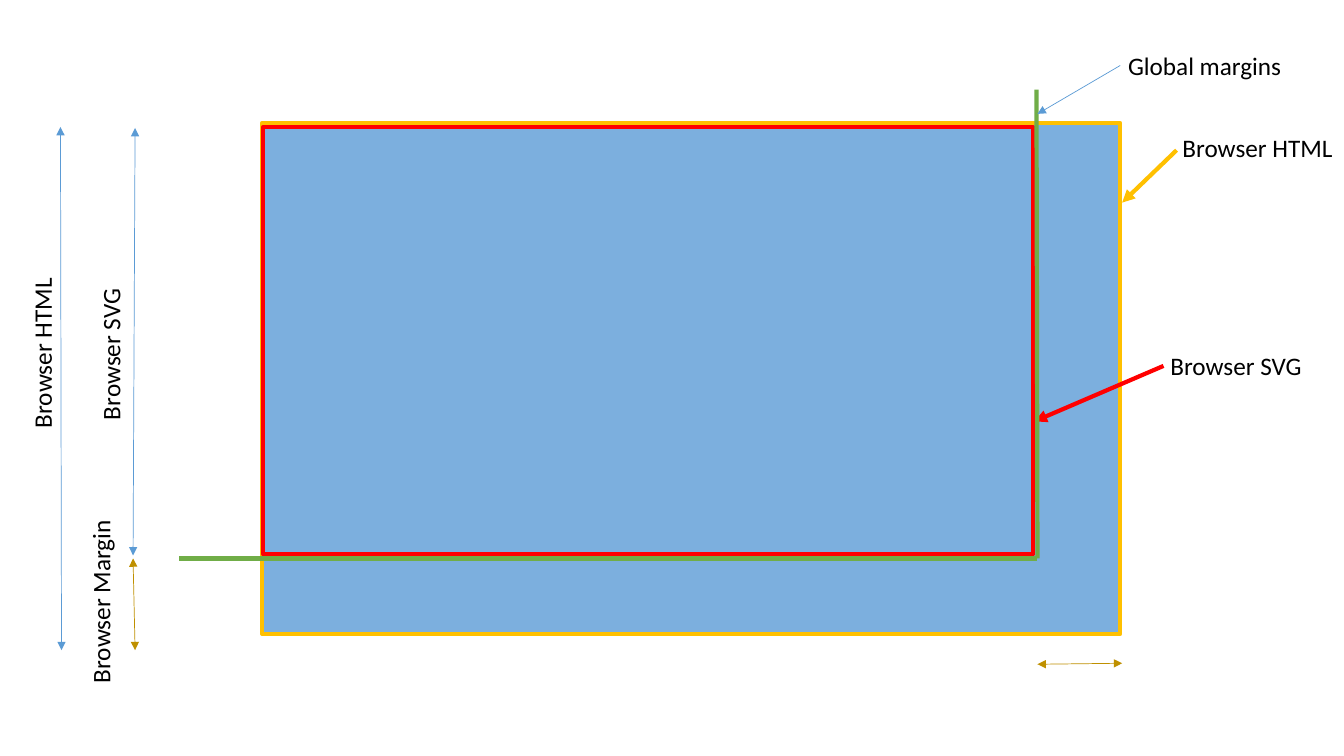
"""Build a slide showing how browser HTML, SVG and margins nest."""
from lxml import etree
from pptx import Presentation
from pptx.dml.color import RGBColor
from pptx.enum import shapes, text
from pptx.oxml import ns
from pptx.util import Inches, Pt

BLACK = RGBColor(0x00, 0x00, 0x00)
FILL = RGBColor(0x7C, 0xAF, 0xDE)
AMBER = RGBColor(0xFF, 0xC0, 0x00)
RED = RGBColor(0xFF, 0x00, 0x00)
GREEN = RGBColor(0x70, 0xAD, 0x47)
BLUE = RGBColor(0x5B, 0x9B, 0xD5)
OCHRE = RGBColor(0xBF, 0x90, 0x00)
THICK, THIN = 3, 0.5

prs = Presentation()
prs.slide_width, prs.slide_height = Inches(13.33), Inches(7.5)
s = prs.slides.add_slide(prs.slide_layouts[6])


def add_text(label, left, top, width, height=0.4, rotation=0, size=18, color=BLACK):
    sp = s.shapes.add_textbox(*map(Inches, (left, top, width, height)))
    sp.rotation = rotation
    tf = sp.text_frame
    tf.word_wrap = True
    tf.auto_size = text.MSO_AUTO_SIZE.SHAPE_TO_FIT_TEXT
    r = tf.paragraphs[0].add_run()
    r.text = label
    r.font.name, r.font.size = "Calibri", Pt(size)
    r.font.color.rgb = color


def add_line(start, end, color, width, ends=()):
    sp = s.shapes.add_connector(shapes.MSO_CONNECTOR.STRAIGHT, *map(Inches, start + end))
    sp.line.color.rgb, sp.line.width = color, Pt(width)
    for tag in ends:
        etree.SubElement(sp.line._get_or_add_ln(), ns.qn(f"a:{tag}"), type="triangle")
    etree.SubElement(sp._element.spPr, ns.qn("a:effectLst"))


for box, fill, color in [
    ((2.6, 1.22, 8.51, 5.07), FILL, AMBER),
    ((2.61, 1.26, 7.64, 4.24), None, RED),
]:
    sp = s.shapes.add_shape(shapes.MSO_SHAPE.RECTANGLE, *map(Inches, box))
    sp.shadow.inherit = False
    if fill is None:
        sp.fill.background()
    else:
        sp.fill.solid()
        sp.fill.fore_color.rgb = fill
    sp.line.color.rgb, sp.line.width = color, Pt(THICK)

pointer, span = ("tailEnd",), ("headEnd", "tailEnd")
margin_x, margin_y = 10.29, 5.54
bottom, html_right = 6.45, 11.13
for line in [
    ((11.67, 1.49), (html_right, 2.01), AMBER, THICK, pointer),
    ((11.54, 3.63), (10.26, 4.18), RED, THICK, pointer),
    ((10.28, 0.89), (margin_x, margin_y), GREEN, THICK),
    ((1.78, margin_y), (margin_x, margin_y), GREEN, THICK),
    ((11.11, 0.65), (margin_x, 1.13), BLUE, THIN, pointer),
    ((1.34, 1.27), (1.32, 5.51), BLUE, THIN, span),
    ((0.6, 1.26), (0.61, bottom), BLUE, THIN, span),
    ((1.32, margin_y), (1.34, bottom), OCHRE, THIN, span),
    ((margin_x, 6.59), (html_right, 6.58), OCHRE, THIN, span),
]:
    add_line(*line)

add_text("Global margins", 11.09, 0.45, 1.77, height=0.71)
add_text("Browser HTML", 11.63, 1.26, 1.77)
add_text("Browser SVG", 11.51, 3.43, 1.57)
add_text("Browser SVG", 0.21, 3.18, 1.77, rotation=270)
add_text("Browser HTML", -0.47, 3.26, 1.77, rotation=270)
add_text("Browser Margin", 0.06, 5.74, 1.87, rotation=270)

prs.save("out.pptx")
